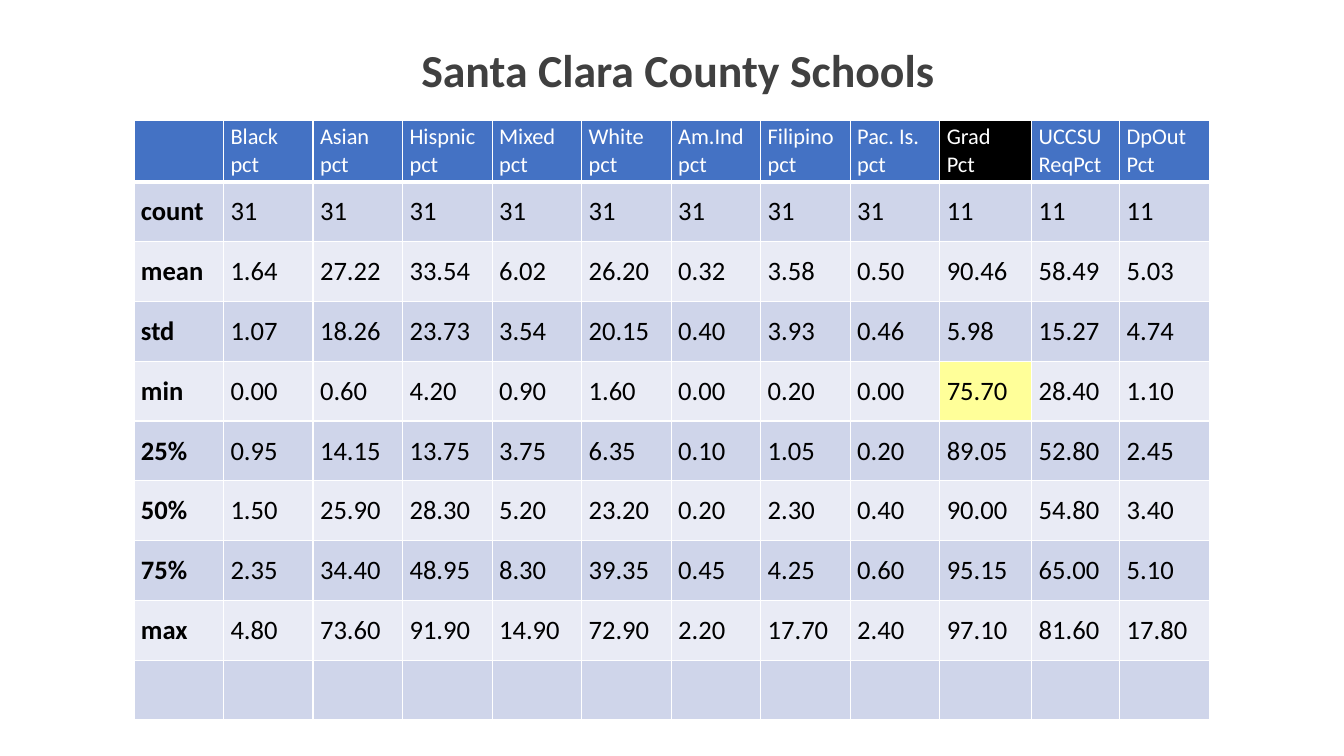
"""Build a slide with a table of summary statistics for Santa Clara County schools."""
from dataclasses import dataclass

from lxml import etree
from pptx import Presentation
from pptx import util as u
from pptx.dml.color import RGBColor
from pptx.enum import text
from pptx.oxml import ns

TITLE = "Santa Clara County Schools"
HEADERS = [
    "", "Black\npct", "Asian\npct", "Hispnic\npct", "Mixed\npct", "White\npct",
    "Am.Ind\npct", "Filipino\npct", "Pac. Is.\npct", "Grad\nPct", "UCCSU\nReqPct", "DpOut\nPct",
]
STATISTICS = [
    ("count", "31", "31", "31", "31", "31", "31", "31", "31", "11", "11", "11"),
    ("mean", "1.64", "27.22", "33.54", "6.02", "26.20", "0.32", "3.58", "0.50", "90.46", "58.49", "5.03"),
    ("std", "1.07", "18.26", "23.73", "3.54", "20.15", "0.40", "3.93", "0.46", "5.98", "15.27", "4.74"),
    ("min", "0.00", "0.60", "4.20", "0.90", "1.60", "0.00", "0.20", "0.00", "75.70", "28.40", "1.10"),
    ("25%", "0.95", "14.15", "13.75", "3.75", "6.35", "0.10", "1.05", "0.20", "89.05", "52.80", "2.45"),
    ("50%", "1.50", "25.90", "28.30", "5.20", "23.20", "0.20", "2.30", "0.40", "90.00", "54.80", "3.40"),
    ("75%", "2.35", "34.40", "48.95", "8.30", "39.35", "0.45", "4.25", "0.60", "95.15", "65.00", "5.10"),
    ("max", "4.80", "73.60", "91.90", "14.90", "72.90", "2.20", "17.70", "2.40", "97.10", "81.60", "17.80"),
    ("",) * len(HEADERS),
]


@dataclass(frozen=True)
class Theme:
    font: str = "Calibri"
    title: str = "404040"
    header: str = "4472C4"
    header_text: str = "FFFFFF"
    body_text: str = "000000"
    bands: tuple = ("CFD5EA", "E9EBF5")
    border: str = "FFFFFF"
    title_size: float = 32.7
    header_size: float = 16
    body_size: float = 19


THEME = Theme()
HIGHLIGHTS = {(0, 9): "000000", (4, 9): "FFFF99"}
SLIDE_SIZE = (1344, 756)
TITLE_BOX = (411, 36, 534, 66)
TABLE_ORIGIN = (134, 120)
COLUMN_WIDTHS = [806 / 9] * 9 + [92, 88, 90]
ROW_HEIGHTS = [62] + [538 / 9] * 9
CELL_INSETS = (7, 3)


def px(length):
    return u.Emu(round(length * 914400 / 100.8))


def style_font(font, size, color, bold):
    font.name, font.size, font.bold = THEME.font, u.Pt(size), bold
    font.color.rgb = RGBColor.from_string(color)


def set_borders(cell, bottom_width):
    properties = cell._tc.get_or_add_tcPr()
    for side, width in (("L", 1), ("R", 1), ("T", 1), ("B", bottom_width)):
        line = etree.SubElement(properties, ns.qn(f"a:ln{side}"), w=str(u.Pt(width)))
        fill = etree.SubElement(line, ns.qn("a:solidFill"))
        etree.SubElement(fill, ns.qn("a:srgbClr"), val=THEME.border)


def style_cell(cell, row, column):
    is_header = row == 0
    band = THEME.header if is_header else THEME.bands[(row - 1) % 2]
    cell.vertical_anchor = text.MSO_ANCHOR.MIDDLE
    cell.margin_left = cell.margin_right = px(CELL_INSETS[0])
    cell.margin_top = cell.margin_bottom = px(CELL_INSETS[1])
    set_borders(cell, 3 if is_header else 1)
    cell.fill.solid()
    cell.fill.fore_color.rgb = RGBColor.from_string(HIGHLIGHTS.get((row, column), band))
    size = THEME.header_size if is_header else THEME.body_size
    color = THEME.header_text if is_header else THEME.body_text
    for para in cell.text_frame.paragraphs:
        style_font(para.font, size, color, False)
        for span in para.runs:
            style_font(span.font, size, color, column == 0)


def add_title(page):
    box = page.shapes.title
    box.left, box.top, box.width, box.height = map(px, TITLE_BOX)
    frame = box.text_frame
    frame.text = TITLE
    frame.word_wrap = False
    frame.auto_size = text.MSO_AUTO_SIZE.NONE
    frame.vertical_anchor = text.MSO_ANCHOR.MIDDLE
    para = frame.paragraphs[0]
    para.alignment = text.PP_ALIGN.CENTER
    style_font(para.runs[0].font, THEME.title_size, THEME.title, True)


def add_statistics(page):
    rows = [HEADERS, *STATISTICS]
    size = (sum(COLUMN_WIDTHS), sum(ROW_HEIGHTS))
    table = page.shapes.add_table(len(rows), len(HEADERS), *map(px, TABLE_ORIGIN + size)).table
    table.first_row = table.horz_banding = False
    for column, width in zip(table.columns, COLUMN_WIDTHS):
        column.width = px(width)
    for row, height in zip(table.rows, ROW_HEIGHTS):
        row.height = px(height)
    for row, values in enumerate(rows):
        for column, value in enumerate(values):
            cell = table.cell(row, column)
            cell.text_frame.text = value
            style_cell(cell, row, column)


def main():
    deck = Presentation()
    deck.slide_width, deck.slide_height = map(px, SLIDE_SIZE)
    page = deck.slides.add_slide(deck.slide_layouts.get_by_name("Title Only"))
    add_title(page)
    add_statistics(page)
    deck.save("out.pptx")


if __name__ == "__main__":
    main()
